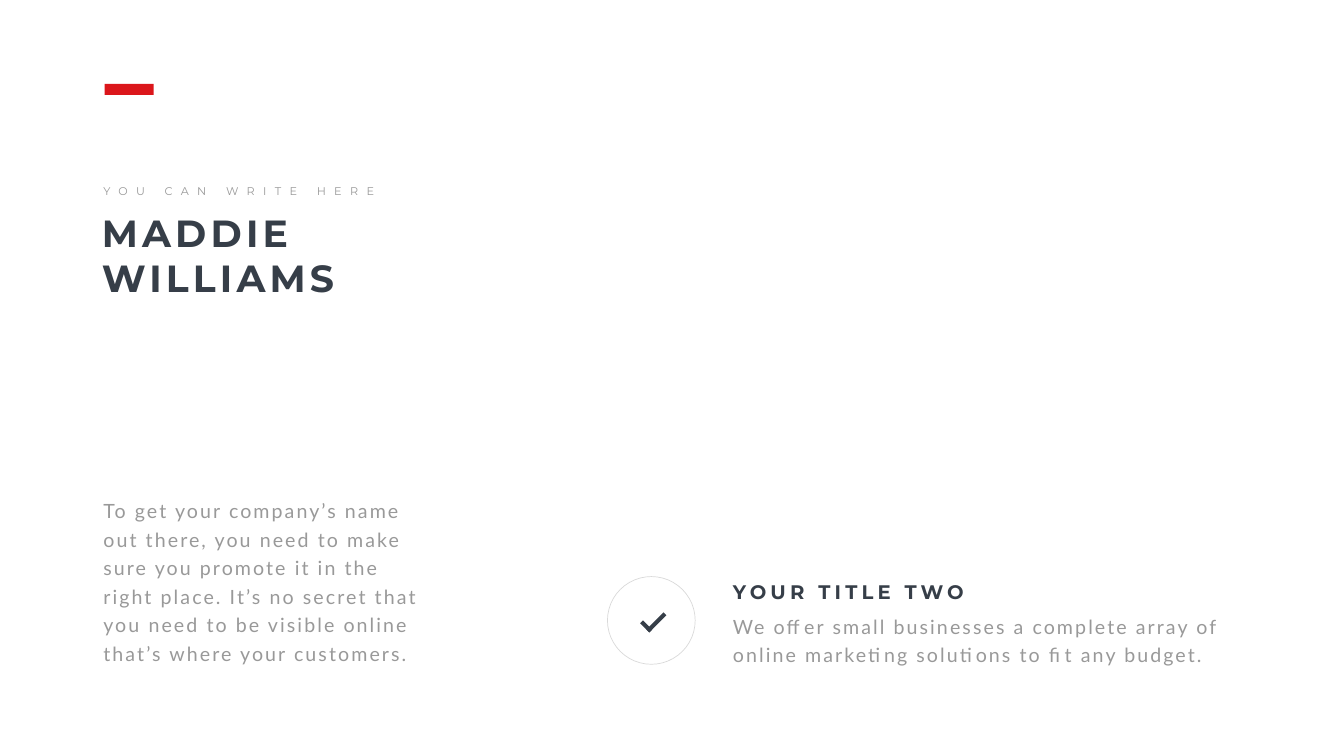
from lxml import etree
from pptx import Presentation
from pptx.dml.color import RGBColor
from pptx.enum.shapes import MSO_SHAPE
from pptx.enum.text import MSO_ANCHOR, MSO_AUTO_SIZE, PP_ALIGN
from pptx.oxml.ns import qn
from pptx.util import Pt

RECT, OVAL = MSO_SHAPE.RECTANGLE, MSO_SHAPE.OVAL
TOP, LEFT, FIXED = MSO_ANCHOR.TOP, PP_ALIGN.LEFT, MSO_AUTO_SIZE.NONE
SCALE = 9144  # EMU in one px, 100 px to the inch


def px(*sizes):
    return [size * SCALE for size in sizes]


def color(code):
    return RGBColor.from_string(code)


def write(frame, text, font, size, ink, bold=False, gap=0, line=None, wrap=True):
    """Fill a text frame with one formatted paragraph; gap is letter spacing."""
    frame.auto_size = FIXED
    frame.word_wrap = wrap
    frame.vertical_anchor = TOP
    para = frame.paragraphs[0]
    props = para._p.get_or_add_pPr()
    props.set("marL", "0")
    props.set("indent", "0")
    etree.SubElement(props, qn("a:buNone"))
    para.alignment = LEFT
    para.space_before = Pt(0)
    para.line_spacing = Pt(line) if line else 1.0
    run = para.add_run()
    run.text = text
    run.font.name = font
    run.font.size = Pt(size)
    run.font.bold = bold
    run.font.color.rgb = color(ink)
    run._r.get_or_add_rPr().set("spc", str(gap * 100))


class Page:
    DARK, GRAY, RING, RED = "363E48", "999999", "D9D9D9", "DB161B"
    HEAD = dict(font="Montserrat", ink=DARK, bold=True, gap=6)
    BODY = dict(font="Lato", ink=GRAY, size=28, gap=3, line=40.8)
    NOTE = dict(font="Montserrat", ink=GRAY, size=16, gap=12, wrap=False)

    def __init__(self, slide):
        self.slide = slide

    def holder(self, index, box, text, **style):
        item = self.slide.placeholders[index]
        item.left, item.top, item.width, item.height = px(*box)
        write(item.text_frame, text, **style)

    def label(self, box, text, **style):
        item = self.slide.shapes.add_textbox(*px(*box))
        write(item.text_frame, text, **style)

    def shape(self, kind, box, fill=None, line=None, turn=0):
        item = self.slide.shapes.add_shape(kind, *px(*box))
        item.shadow.inherit = False
        item.rotation = turn
        if fill:
            item.fill.solid()
            item.fill.fore_color.rgb = color(fill)
        else:
            item.fill.background()
        if line:
            item.line.color.rgb = color(line)
            item.line.width = Pt(1)
        else:
            item.line.fill.background()


def main():
    deck = Presentation()
    deck.slide_width, deck.slide_height = px(2666, 1500)
    page = Page(deck.slides.add_slide(deck.slide_layouts[1]))

    # Name and intro on the left
    page.shape(RECT, (245, 129, 22, 97), fill=page.RED, turn=90)
    page.label((195, 361, 578, 37), "YOU CAN WRITE HERE", **page.NOTE)
    page.holder(0, (192, 411, 718, 192), "MADDIE WILLIAMS", size=54, **page.HEAD)
    page.holder(1, (195, 975, 666, 349),
                "To get your company’s name out there, you need to make sure you "
                "promote it in the right place. It’s no secret that you need to be "
                "visible online that’s where your customers.", **page.BODY)

    # Check mark in a ring
    page.shape(OVAL, (1205, 1144, 174, 174), line=page.RING)
    page.shape(RECT, (1269, 1239, 26, 8), fill=page.DARK, turn=45)
    page.shape(RECT, (1278, 1231, 48, 8), fill=page.DARK, turn=315)

    # Offer beside the ring
    page.label((1444, 1146, 636, 57), "YOUR TITLE TWO", size=28, **page.HEAD)
    page.label((1444, 1205, 1066, 119),
               "We offer small businesses a complete array of online marketing "
               "solutions to fit any budget.", **page.BODY)

    deck.save("out.pptx")


if __name__ == "__main__":
    main()
